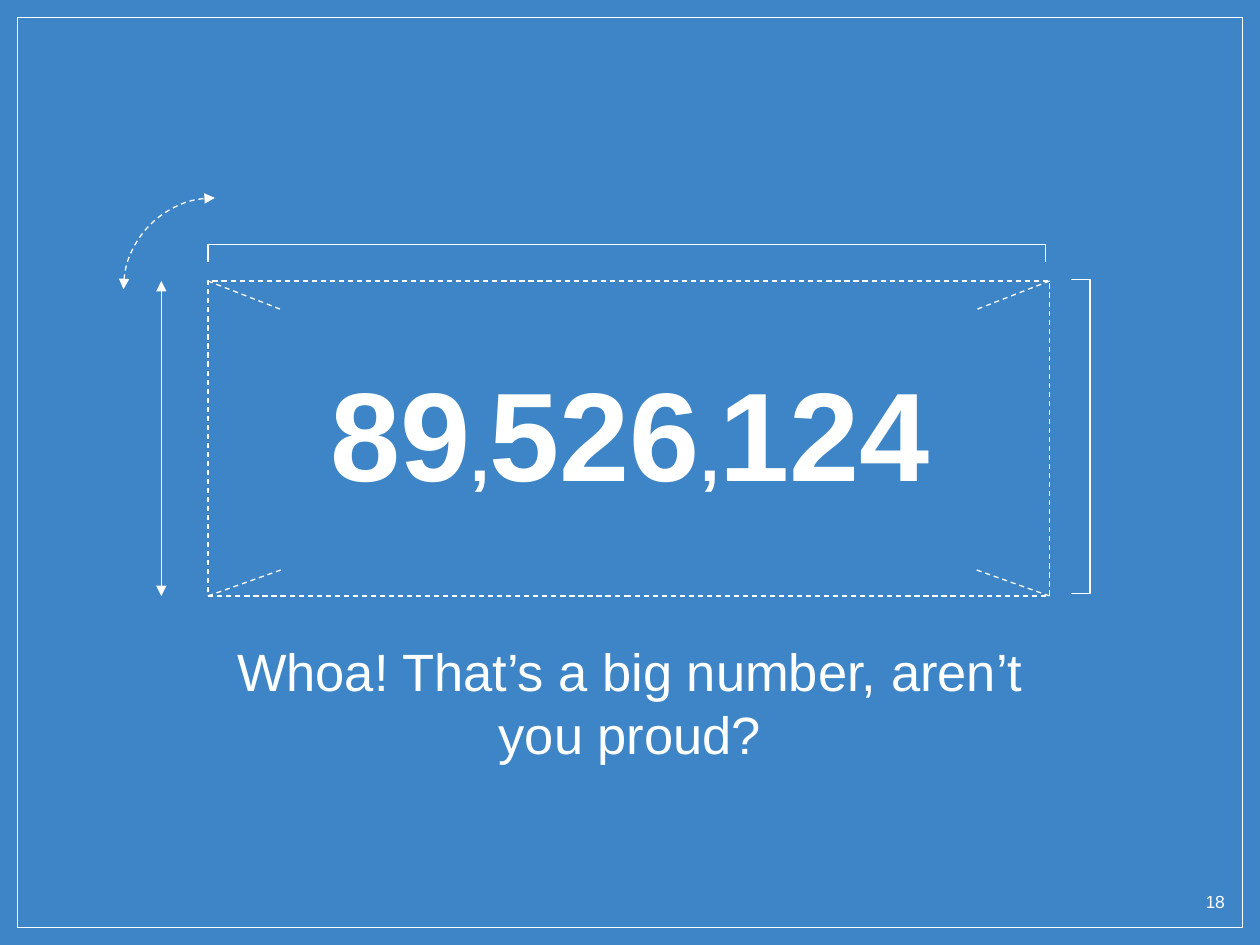
"""Build the big-number slide with its dashed frame and dimension marks."""
from lxml import etree
from pptx import Presentation
from pptx.dml.color import RGBColor
from pptx.enum.dml import MSO_LINE
from pptx.enum.shapes import MSO_CONNECTOR, MSO_SHAPE
from pptx.enum.text import MSO_ANCHOR, PP_ALIGN
from pptx.oxml.ns import qn
from pptx.util import Inches, Pt

BLUE = RGBColor(0x3D, 0x85, 0xC6)
WHITE = RGBColor(0xFF, 0xFF, 0xFF)
DASH = MSO_LINE.DASH
TOP = MSO_ANCHOR.TOP
CENTER, RIGHT = PP_ALIGN.CENTER, PP_ALIGN.RIGHT
RECT, ARC = MSO_SHAPE.RECTANGLE, MSO_SHAPE.ARC
STRAIGHT = MSO_CONNECTOR.STRAIGHT
FONT = "Arial"

W, H = 10, 7.5
MARGIN = 0.14
NUMBER = [("89", 72), (",", 40), ("526", 72), (",", 40), ("124", 72)]
CAPTION = [("Whoa! That’s a big number, aren’t you proud?", 30)]
PAGE = [("18", 10)]

LEFT, UPPER, RIGHT_X, LOWER = 1.65, 2.23, 8.33, 4.73
TICK_X, TICK_TOP, TICK_LOW = 0.59, 0.23, 0.21
CORNERS = [(LEFT, UPPER, 1, TICK_TOP), (RIGHT_X, UPPER, -1, TICK_TOP),
           (LEFT, LOWER, 1, -TICK_LOW), (RIGHT_X, LOWER, -1, -TICK_LOW)]
BRACKETS = [
    [(8.5, 2.22), (8.65, 2.22), (8.65, 4.71), (8.5, 4.71)],
    [(1.65, 2.08), (1.65, 1.94), (8.3, 1.94), (8.3, 2.08)],
]


def style_line(s, dash=None, arrows=False):
    s.line.color.rgb = WHITE
    s.line.width = Pt(0.75)
    if dash:
        s.line.dash_style = dash
    if arrows:
        ln = s.line._get_or_add_ln()
        for tag in ("a:headEnd", "a:tailEnd"):
            etree.SubElement(ln, qn(tag), type="triangle")


def add_outline(s, box, kind, **line):
    sp = s.shapes.add_shape(kind, *map(Inches, box))
    sp.shadow.inherit = False
    sp.fill.background()
    style_line(sp, **line)
    return sp


def add_line(s, x1, y1, x2, y2, **line):
    c = s.shapes.add_connector(STRAIGHT, *map(Inches, (x1, y1, x2, y2)))
    style_line(c, **line)
    etree.SubElement(c._element.spPr, qn("a:effectLst"))


def add_bracket(s, points):
    pts = [(Inches(x), Inches(y)) for x, y in points]
    fb = s.shapes.build_freeform(*pts[0])
    fb.add_line_segments(pts[1:], close=False)
    sp = fb.convert_to_shape()
    sp.shadow.inherit = False
    sp.fill.background()
    style_line(sp)


def set_text(sp, runs, box, align=CENTER, bold=False, spacing=None):
    sp.left, sp.top, sp.width, sp.height = map(Inches, box)
    tf = sp.text_frame
    tf.word_wrap = True
    tf.vertical_anchor = TOP
    tf.margin_left = tf.margin_right = Inches(0.1)
    tf.margin_top = tf.margin_bottom = Inches(0.1)
    p = tf.paragraphs[0]
    p.alignment = align
    p.space_before = Pt(0)
    if spacing:
        p.line_spacing = Pt(spacing)
    for text, size in runs:
        r = p.add_run()
        r.text = text
        r.font.name = FONT
        r.font.size = Pt(size)
        r.font.bold = bold
        r.font.color.rgb = WHITE


def main():
    prs = Presentation()
    prs.slide_width, prs.slide_height = Inches(W), Inches(H)
    s = prs.slides.add_slide(prs.slide_layouts[0])
    s.background.fill.solid()
    s.background.fill.fore_color.rgb = BLUE

    add_outline(s, (MARGIN, MARGIN, W - 2 * MARGIN, H - 2 * MARGIN), RECT)
    add_outline(s, (LEFT, UPPER, RIGHT_X - LEFT, LOWER - UPPER), RECT, dash=DASH)
    for points in BRACKETS:
        add_bracket(s, points)
    arc = add_outline(s, (0.98, 1.57, 1.45, 1.45), ARC, dash=DASH, arrows=True)
    arc.rotation = 270
    add_line(s, 1.28, UPPER, 1.28, LOWER, arrows=True)
    for x, y, side, dy in CORNERS:
        add_line(s, x, y, x + side * TICK_X, y + dy, dash=DASH)

    set_text(s.shapes.title, NUMBER, (0.75, 2.72, 8.5, 1.69), bold=True, spacing=86.4)
    set_text(s.placeholders[1], CAPTION, (1.54, 4.97, 6.92, 1.14), spacing=36)
    page = s.shapes.add_textbox(0, 0, 0, 0)
    set_text(page, PAGE, (9.32, 6.99, 0.5, 0.43), align=RIGHT)
    prs.save("out.pptx")


if __name__ == "__main__":
    main()
